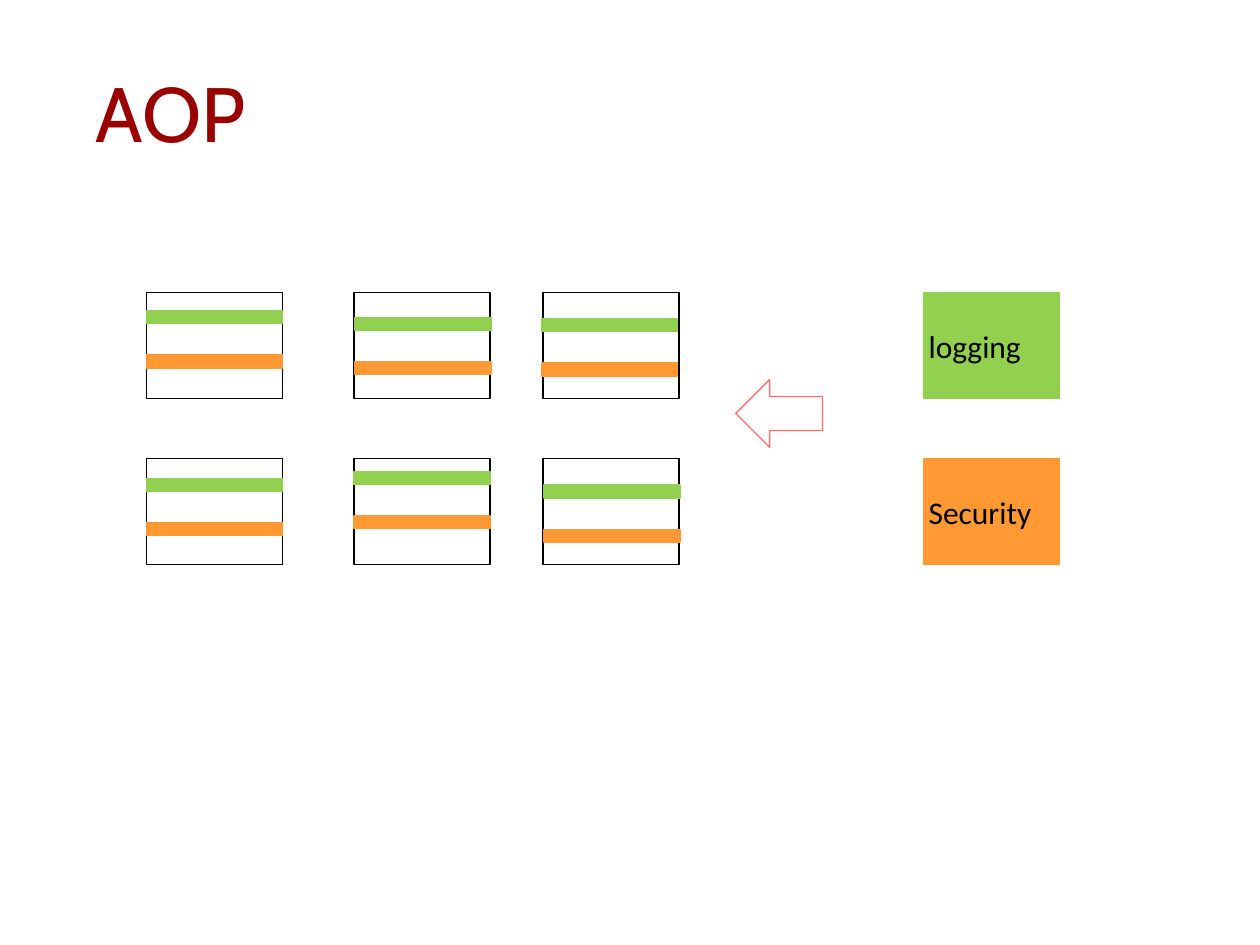
from pptx import Presentation
from pptx.dml.color import RGBColor
from pptx.enum.shapes import MSO_SHAPE
from pptx.enum.text import MSO_ANCHOR, MSO_AUTO_SIZE
from pptx.util import Cm, Pt

RECTANGLE = MSO_SHAPE.RECTANGLE
RIGHT_ARROW = MSO_SHAPE.RIGHT_ARROW
TOP, MIDDLE = MSO_ANCHOR.TOP, MSO_ANCHOR.MIDDLE
FIT_SHAPE = MSO_AUTO_SIZE.SHAPE_TO_FIT_TEXT

BLACK, DARK_RED, ARROW_RED = "000000", "990000", "FF7070"
GREEN, ORANGE = "92D050", "FF9933"


def add_outlined(parent, kind, left, top, width, height, line, fill=None):
    """Add a preset shape, measured in cm; without a fill it is see-through."""
    shape = parent.add_shape(kind, Cm(left), Cm(top), Cm(width), Cm(height))
    shape.shadow.inherit = False
    shape.line.color.rgb = RGBColor.from_string(line)
    shape.line.width = Pt(0.75)
    if fill:
        shape.fill.solid()
        shape.fill.fore_color.rgb = RGBColor.from_string(fill)
    else:
        shape.fill.background()
    return shape


def add_text(parent, text, left, top, width, height, font, size, color, inset, anchor):
    box = parent.add_textbox(Cm(left), Cm(top), Cm(width), Cm(height))
    frame = box.text_frame
    frame.word_wrap = True
    frame.auto_size = FIT_SHAPE
    frame.vertical_anchor = anchor
    frame.margin_left = frame.margin_right = Cm(inset)
    frame.margin_top = frame.margin_bottom = Cm(inset)
    run = frame.paragraphs[0].add_run()
    run.text = text
    run.font.name = font
    run.font.size = Pt(size)
    run.font.color.rgb = RGBColor.from_string(color)


presentation = Presentation()
presentation.slide_width, presentation.slide_height = Cm(25.4), Cm(19.05)
slide = presentation.slides.add_slide(presentation.slide_layouts[6])
shapes = slide.shapes

add_text(shapes, "AOP", 1.8, 1.19, 21.51, 2.13, "Cabin", 44, DARK_RED, 0.13, TOP)

weaving_arrow = add_outlined(shapes, RIGHT_ARROW, 14.83, 7.65, 1.75, 1.37, ARROW_RED)
weaving_arrow.rotation = 180

# Modules, each crossed by a logging and a security stripe
MODULE_WIDTH, MODULE_HEIGHT = 2.74, 2.13
STRIPE_HEIGHT, STRIPE_STEP = 0.26, 0.89
row_tops = [5.9, 9.25]
column_lefts = [2.95, 7.14, 10.95]
# Shift of the first stripe from the module's corner, by row and column
stripe_shifts = [
    [(0, 0.37), (0.02, 0.5), (-0.03, 0.53)],
    [(0, 0.4), (0, 0.26), (0.02, 0.53)],
]

for top in row_tops:
    for left in column_lefts:
        add_outlined(shapes, RECTANGLE, left, top, MODULE_WIDTH, MODULE_HEIGHT, BLACK)

for top, row_shifts in zip(row_tops, stripe_shifts):
    for left, (shift_x, shift_y) in zip(column_lefts, row_shifts):
        for index, color in enumerate([GREEN, ORANGE]):
            stripe_top = top + shift_y + index * STRIPE_STEP
            add_outlined(shapes, RECTANGLE, left + shift_x, stripe_top,
                         MODULE_WIDTH, STRIPE_HEIGHT, color, color)

# Aspects, level with the module rows
ASPECT_LEFT, LABEL_HEIGHT = 18.62, 0.97
for top, aspect, color in zip(row_tops, ["logging", "Security"], [GREEN, ORANGE]):
    aspect_group = shapes.add_group_shape().shapes
    add_outlined(aspect_group, RECTANGLE, ASPECT_LEFT, top,
                 MODULE_WIDTH, MODULE_HEIGHT, color, color)
    add_text(aspect_group, aspect, ASPECT_LEFT, top + (MODULE_HEIGHT - LABEL_HEIGHT) / 2,
             MODULE_WIDTH, LABEL_HEIGHT, "Calibri", 18, BLACK, 0.1, MIDDLE)

presentation.save("out.pptx")
